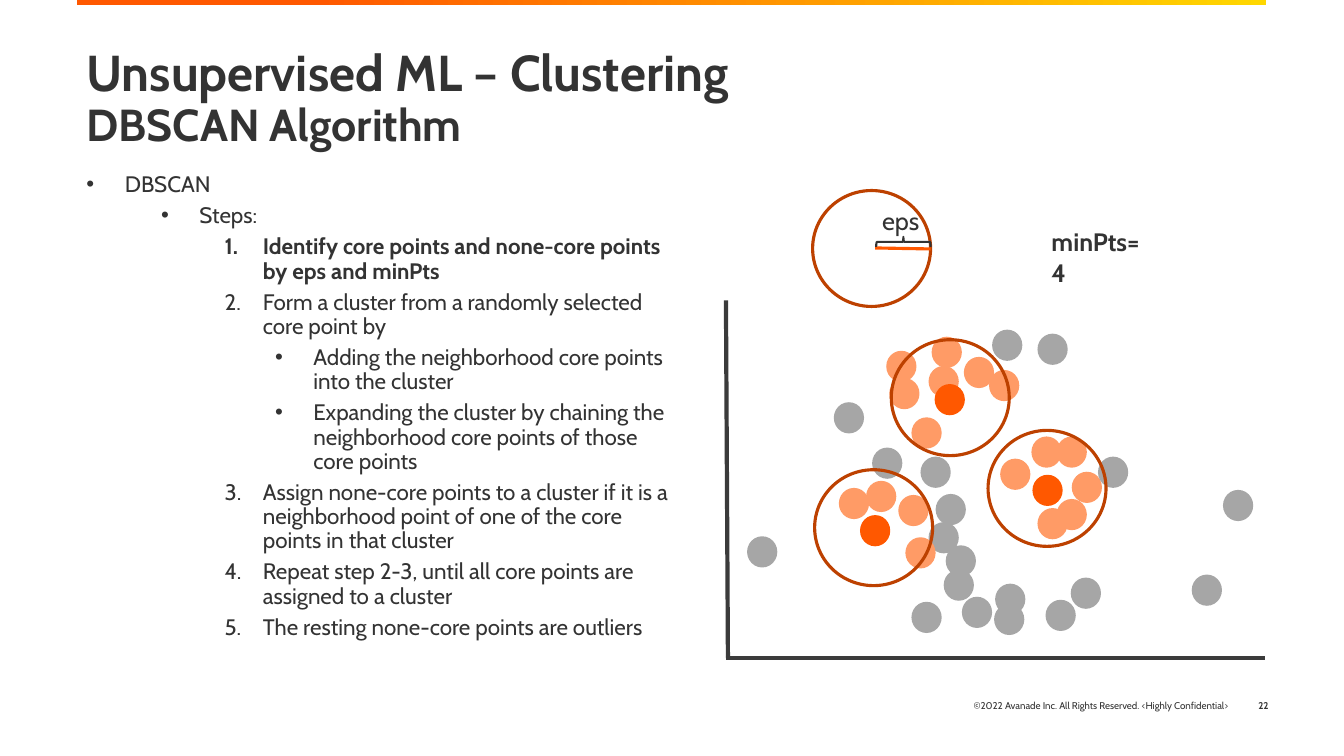
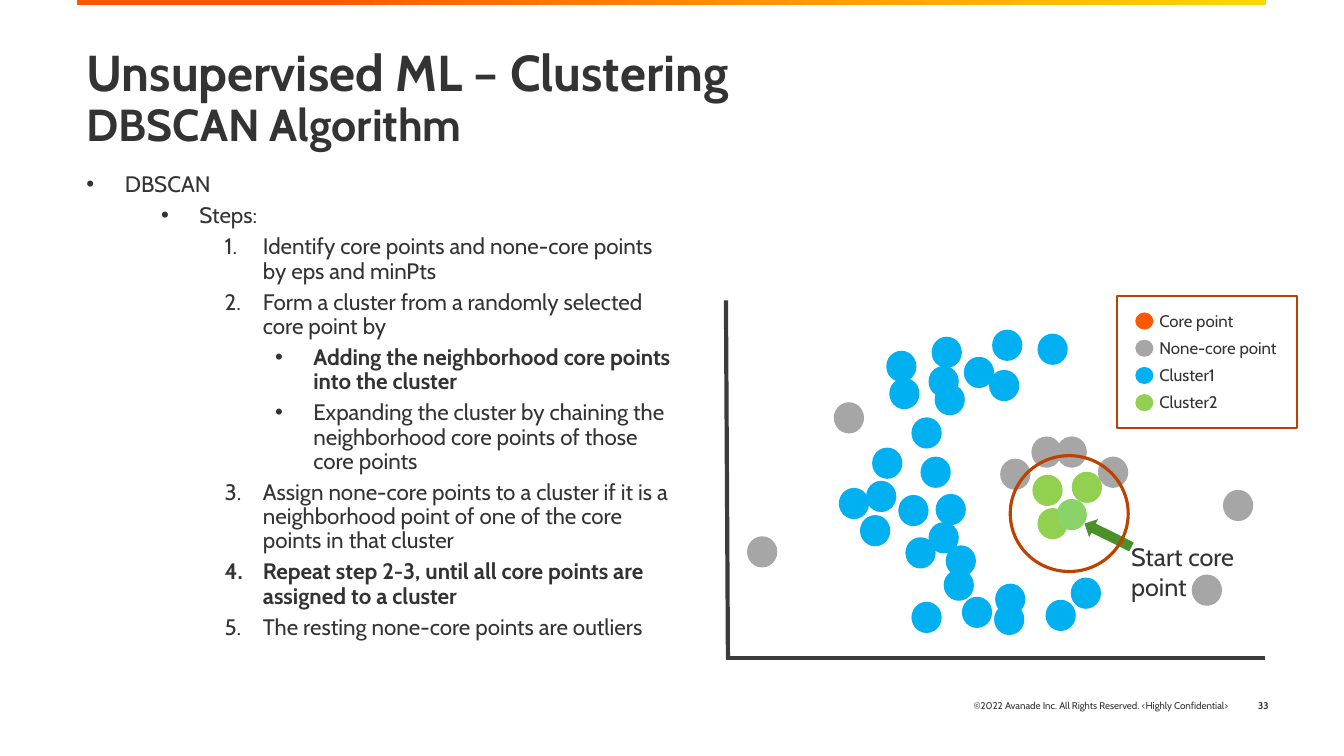
import pptx
import pptx.util
import pptx.dml.color
import pptx.enum.shapes
import pptx.enum.text
import lxml.etree

Inches, Pt = pptx.util.Inches, pptx.util.Pt
MSO_SHAPE = pptx.enum.shapes.MSO_SHAPE
PP_ALIGN = pptx.enum.text.PP_ALIGN
MSO_ANCHOR = pptx.enum.text.MSO_ANCHOR
rgb = pptx.dml.color.RGBColor.from_string
A = "{http://schemas.openxmlformats.org/drawingml/2006/main}"

# Shared style
FONT, INK, AXIS = "Cabin", "333333", "3B3B3B"
ORANGE, PEACH, RUST, YELLOW = "FF5800", "FF9B66", "BD4100", "FFD700"
GREY, BLUE, GREEN, START, ARROW = "A6A6A6", "00B0F0", "92D050", "8BD369", "4B912A"
DOT_W, DOT_H = 0.3, 0.31
RING_W, RING_H = 1.17, 1.15

# Steps: level, text
STEPS = [
    (0, "DBSCAN"),
    (1, "Steps:"),
    (2, "Identify core points and none-core points by eps and minPts"),
    (2, "Form a cluster from a randomly selected core point by"),
    (3, "Adding the neighborhood core points into the cluster"),
    (3, "Expanding the cluster by chaining the neighborhood core points of those core points"),
    (2, "Assign none-core points to a cluster if it is a neighborhood point of one of the "
        "core points in that cluster"),
    (2, "Repeat step 2-3, until all core points are assigned to a cluster"),
    (2, "The resting none-core points are outliers"),
]
MARGINS = [0.38, 1.12, 1.75, 2.25]

# Dots: left, top, colour while finding core points, colour while clustering
DOTS = [
    (9.04, 4.14, PEACH, BLUE), (9.21, 5.18, GREY, BLUE), (8.59, 4.77, PEACH, BLUE),
    (9.81, 3.67, PEACH, BLUE), (8.53, 5.11, ORANGE, BLUE), (8.65, 4.44, GREY, BLUE),
    (9.28, 4.9, GREY, BLUE), (9.13, 4.53, GREY, BLUE), (8.98, 5.33, PEACH, BLUE),
    (8.91, 4.91, PEACH, BLUE), (9.36, 5.65, GREY, BLUE), (8.82, 3.75, PEACH, BLUE),
    (8.32, 4.84, PEACH, BLUE), (9.21, 3.63, PEACH, BLUE), (9.38, 5.41, GREY, BLUE),
    (9.87, 5.79, GREY, BLUE), (9.56, 3.54, PEACH, BLUE), (10.23, 4.33, PEACH, GREY),
    (10.29, 5.04, PEACH, GREEN), (10.63, 4.68, PEACH, GREEN), (9.92, 4.55, PEACH, GREY),
    (10.24, 4.71, ORANGE, GREEN), (10.48, 4.95, PEACH, START), (9.24, 3.34, PEACH, BLUE),
    (8.79, 3.48, PEACH, BLUE), (9.84, 3.27, GREY, BLUE), (10.48, 4.33, PEACH, GREY),
    (10.29, 3.31, GREY, BLUE), (10.62, 5.73, GREY, BLUE), (8.27, 3.99, GREY, GREY),
    (10.37, 5.95, GREY, BLUE), (9.86, 5.99, GREY, BLUE), (9.54, 5.92, GREY, BLUE),
    (10.89, 4.53, GREY, GREY), (7.41, 5.32, GREY, GREY), (11.82, 5.7, GREY, GREY),
    (12.13, 4.86, GREY, GREY), (9.27, 3.81, ORANGE, BLUE), (9.04, 5.97, GREY, BLUE),
]

# Slides: number, bold steps, neighbourhood circles, lines (x1, y1, x2, y2, colour, width)
AXES = [(7.2, 6.53, 12.55, 6.53, AXIS, 3), (7.22, 6.53, 7.2, 2.98, AXIS, 3)]
SLIDES = [
    ("22", {2}, [(8.84, 3.37), (8.08, 4.66), (9.8, 4.27), (8.06, 1.89)],
     AXES + [(8.68, 2.46, 9.23, 2.47, ORANGE, 2.25)]),
    ("33", {4, 7}, [(10.02, 4.52)], AXES),
]


def add_shape(s, kind, x, y, w, h, fill=None, line=None, width=2.25):
    sp = s.shapes.add_shape(kind, Inches(x), Inches(y), Inches(w), Inches(h))
    sp.shadow.inherit = False
    if fill:
        sp.fill.solid()
        sp.fill.fore_color.rgb = rgb(fill)
    else:
        sp.fill.background()
    if line:
        sp.line.color.rgb = rgb(line)
        sp.line.width = Pt(width)
    else:
        sp.line.fill.background()
    return sp


def add_text(s, x, y, w, h, paragraphs, bold=False, align=PP_ALIGN.LEFT, anchor=MSO_ANCHOR.TOP):
    """Each paragraph is a list of (text, size) runs, parted by line breaks."""
    tf = s.shapes.add_textbox(Inches(x), Inches(y), Inches(w), Inches(h)).text_frame
    tf.word_wrap = True
    tf.vertical_anchor = anchor
    for i, runs in enumerate(paragraphs):
        p = tf.paragraphs[0] if i == 0 else tf.add_paragraph()
        p.alignment = align
        for j, (text, size) in enumerate(runs):
            if j:
                p.add_line_break()
            r = p.add_run()
            r.text = text
            r.font.name, r.font.size, r.font.bold = FONT, Pt(size), bold
            r.font.color.rgb = rgb(INK)
    return tf


prs = pptx.Presentation()
prs.slide_width, prs.slide_height = Inches(13.33), Inches(7.5)

for n, (number, bold_steps, rings, lines) in enumerate(SLIDES):
    s = prs.slides.add_slide(prs.slide_layouts[6])

    # Gradient band
    band = add_shape(s, MSO_SHAPE.RECTANGLE, 0.76, 0, 11.8, 0.05)
    band.fill.gradient()
    band.fill.gradient_angle = 0
    for stop, position, colour in zip(band.fill.gradient_stops, (0.2, 1), (ORANGE, YELLOW)):
        stop.position = position
        stop.color.rgb = rgb(colour)

    # Footer
    add_text(s, 7.78, 6.8, 4.5, 0.4,
             [[("©2022 Avanade Inc. All Rights Reserved. <Highly Confidential>", 7)]],
             align=PP_ALIGN.RIGHT, anchor=MSO_ANCHOR.MIDDLE)
    add_text(s, 12.2, 6.8, 0.48, 0.4, [[(number, 7)]], bold=True,
             align=PP_ALIGN.RIGHT, anchor=MSO_ANCHOR.MIDDLE)

    # Title
    tf = add_text(s, 0.76, 0.43, 11.79, 1.09,
                  [[("Unsupervised ML – Clustering", 36), ("DBSCAN Algorithm", 32)]], bold=True)
    tf.paragraphs[0].line_spacing = 0.9

    # Steps
    tf = add_text(s, 0.76, 1.67, 6, 4.86, [[(text, 16)] for _, text in STEPS])
    for i, (p, (level, _)) in enumerate(zip(tf.paragraphs, STEPS)):
        p.level = level
        pPr = p._p.get_or_add_pPr()
        pPr.set("marL", str(Inches(MARGINS[level])))
        pPr.set("indent", str(Inches(-0.38)))
        if level == 2:
            lxml.etree.SubElement(pPr, A + "buFont", typeface="+mj-lt")
            lxml.etree.SubElement(pPr, A + "buAutoNum", type="arabicPeriod")
        else:
            lxml.etree.SubElement(pPr, A + "buFont", typeface="Arial")
            lxml.etree.SubElement(pPr, A + "buChar", char="•")
        p.line_spacing = 0.9
        p.space_before = Pt(5 if i else 0)
        p.runs[0].font.bold = i in bold_steps

    # Scatter of points
    for x, y, *colours in DOTS:
        add_shape(s, MSO_SHAPE.OVAL, x, y, DOT_W, DOT_H, fill=colours[n])
    if number == "33":
        arrow = add_shape(s, MSO_SHAPE.RIGHT_ARROW, 10.73, 5.21, 0.52, 0.2, fill=ARROW)
        arrow.rotation = 206.4
    for x, y in rings:
        add_shape(s, MSO_SHAPE.OVAL, x, y, RING_W, RING_H, line=RUST)

    # Axes and radius
    for x1, y1, x2, y2, colour, width in lines:
        c = s.shapes.add_connector(pptx.enum.shapes.MSO_CONNECTOR.STRAIGHT,
                                   Inches(x1), Inches(y1), Inches(x2), Inches(y2))
        c.line.color.rgb = rgb(colour)
        c.line.width = Pt(width)
        lxml.etree.SubElement(c._element.spPr, A + "effectLst")

# Parameters on the first slide
s = prs.slides[0]
add_text(s, 8.65, 1.99, 0.7, 0.4, [[("eps", 18)]])
add_text(s, 10.33, 2.2, 1.15, 0.4, [[("minPts=4", 18)]], bold=True)
brace = add_shape(s, MSO_SHAPE.LEFT_BRACE, 8.91, 2.13, 0.1, 0.54, line=INK, width=1.5)
brace.rotation = 90

# Start label and legend on the second slide
s = prs.slides[1]
add_text(s, 11.12, 5.32, 1.31, 0.71, [[("Start core point", 18)]])
add_shape(s, MSO_SHAPE.RECTANGLE, 11.08, 2.94, 1.78, 1.31, line=RUST, width=1.5)
legend = [("Core point", ORANGE), ("None-core point", GREY), ("Cluster1", BLUE), ("Cluster2", GREEN)]
for i, (label, colour) in enumerate(legend):
    add_shape(s, MSO_SHAPE.OVAL, 11.26, 3.1 + 0.27 * i, 0.18, 0.17, fill=colour)
    add_text(s, 11.4, 3.03 + 0.27 * i, 1.45, 0.3, [[(label, 12)]])

prs.save("out.pptx")
